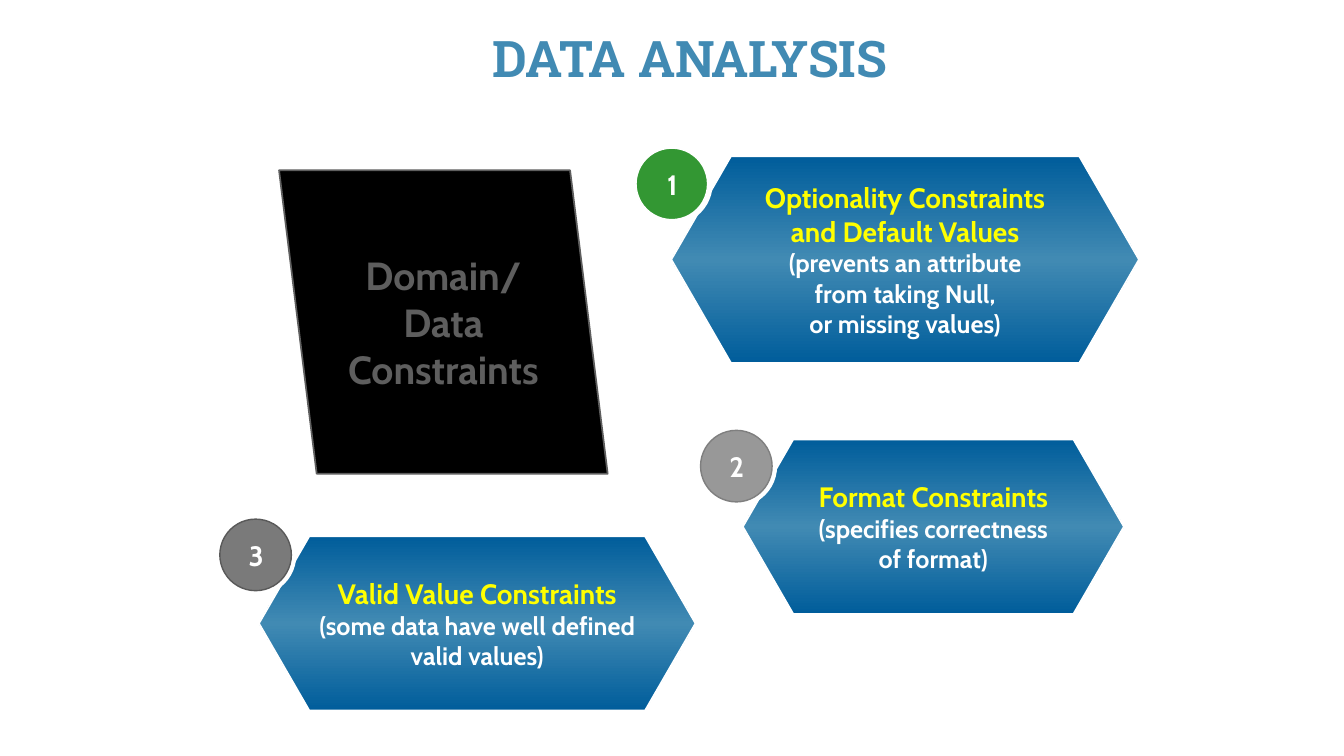
from lxml import etree
from pptx import Presentation
from pptx import util as u
from pptx.dml.color import RGBColor
from pptx.enum import shapes, text
from pptx.oxml.ns import qn

TITLE = "DATA ANALYSIS"
TITLE_BOX = (145.4, 0, 694.8, 66.2)
TOPIC = ["Domain/", "Data", "Constraints"]
TOPIC_BOX = (199.4, 121.7, 234.7, 216.7)
# Hexagon box, yellow heading lines, white detail lines
CONSTRAINTS = [
    ((479.5, 111.6, 334.1, 147.6),
     ["Optionality Constraints", "and Default Values"],
     ["(prevents an attribute", "from taking Null,", "or missing values)"]),
    ((530.6, 313.9, 272.2, 124.6),
     ["Format Constraints"],
     ["(specifies correctness", "of format)"]),
    ((185, 383, 311.8, 124.6),
     ["Valid Value Constraints"],
     ["(some data have well defined", "valid values)"]),
]
# Left, top, fill, outline
BADGES = [
    (450.7, 102.2, "007E00", "FFFFFF"),
    (496.8, 303.8, "7F7F7F", "7F7F7F"),
    (153.4, 367.2, "595959", "595959"),
]
RING, DISC = 58.3, 51.1
LABEL_DROP, LABEL_WIDTH, LABEL_HEIGHT = 13.3, 59, 31.7
GRADIENT = [(0, "005D9B"), (50, "418AB3"), (100, "005D9B")]
WHITE, YELLOW, GREY, BLACK = "FFFFFF", "FFFF00", "5E5E5E", "000000"


def color(value):
    return RGBColor.from_string(value)


def points(box):
    return [u.Pt(value) for value in box]


def add_shape(slide, kind, box, fill=None, line=None, width=1.25):
    shape = slide.shapes.add_shape(kind, *points(box))
    shape.shadow.inherit = False
    if fill:
        shape.fill.solid()
        shape.fill.fore_color.rgb = color(fill)
    if line:
        shape.line.color.rgb = color(line)
        shape.line.width = u.Pt(width)
    else:
        shape.line.fill.background()
    return shape


def fill_gradient(shape):
    """Fill from top to bottom with the three gradient stops."""
    shape.fill.gradient()
    shape.fill.gradient_angle = 90
    stops = shape._element.spPr.find(qn("a:gradFill")).find(qn("a:gsLst"))
    for stop in list(stops):
        stops.remove(stop)
    for position, value in GRADIENT:
        stop = etree.SubElement(stops, qn("a:gs"), pos=str(position * 1000))
        etree.SubElement(stop, qn("a:srgbClr"), val=value)


def write(shape, lines, wrap=False):
    """Write centred bold lines, each given as (words, size, colour)."""
    frame = shape.text_frame
    frame.word_wrap = wrap
    frame.vertical_anchor = text.MSO_ANCHOR.MIDDLE
    frame.text = "\n".join(words for words, _, _ in lines)
    for paragraph, (_, size, value) in zip(frame.paragraphs, lines):
        paragraph.alignment = text.PP_ALIGN.CENTER
        font = paragraph.runs[0].font
        font.name, font.size, font.bold = "Cabin", u.Pt(size), True
        font.color.rgb = color(value)


def add_title(slide):
    title = slide.shapes.title
    title.left, title.top, title.width, title.height = points(TITLE_BOX)
    title.text_frame.text = TITLE
    title.text_frame.vertical_anchor = text.MSO_ANCHOR.BOTTOM
    paragraph = title.text_frame.paragraphs[0]
    paragraph.alignment = text.PP_ALIGN.CENTER
    paragraph.line_spacing = 0.8
    font = paragraph.runs[0].font
    font.name, font.size, font.bold = "Roboto Slab", u.Pt(36), True
    font.color.rgb = color("418AB3")


def add_constraint(slide, box, heading, details):
    hexagon = add_shape(slide, shapes.MSO_SHAPE.HEXAGON, box, line=WHITE)
    hexagon.adjustments[0] = 0.289
    hexagon.adjustments[1] = 1.155
    fill_gradient(hexagon)
    write(hexagon, [(words, 20, YELLOW) for words in heading]
          + [(words, 18, WHITE) for words in details])


def add_topic(slide):
    topic = add_shape(slide, shapes.MSO_SHAPE.PARALLELOGRAM, TOPIC_BOX, BLACK, GREY)
    topic.adjustments[0] = 0.124
    topic._element.spPr.find(qn("a:xfrm")).set("flipH", "1")
    write(topic, [(words, 28, GREY) for words in TOPIC])


def add_badge(slide, number, left, top, fill, line):
    oval = shapes.MSO_SHAPE.OVAL
    add_shape(slide, oval, (left, top, RING, RING), WHITE)
    inset = (RING - DISC) / 2
    disc = add_shape(slide, oval, (left + inset, top + inset, DISC, DISC), fill, line, 1)
    disc_fill = disc._element.spPr.find(qn("a:solidFill"))
    etree.SubElement(disc_fill[0], qn("a:alpha"), val="80000")
    label = slide.shapes.add_textbox(
        *points((left, top + LABEL_DROP, LABEL_WIDTH, LABEL_HEIGHT)))
    write(label, [(str(number), 20, WHITE)], wrap=True)


def main():
    presentation = Presentation()
    presentation.slide_width, presentation.slide_height = u.Pt(960), u.Pt(540)
    slide = presentation.slides.add_slide(presentation.slide_layouts[5])
    add_title(slide)
    add_topic(slide)
    for constraint in CONSTRAINTS:
        add_constraint(slide, *constraint)
    for number, badge in enumerate(BADGES, 1):
        add_badge(slide, number, *badge)
    presentation.save("out.pptx")


if __name__ == "__main__":
    main()
